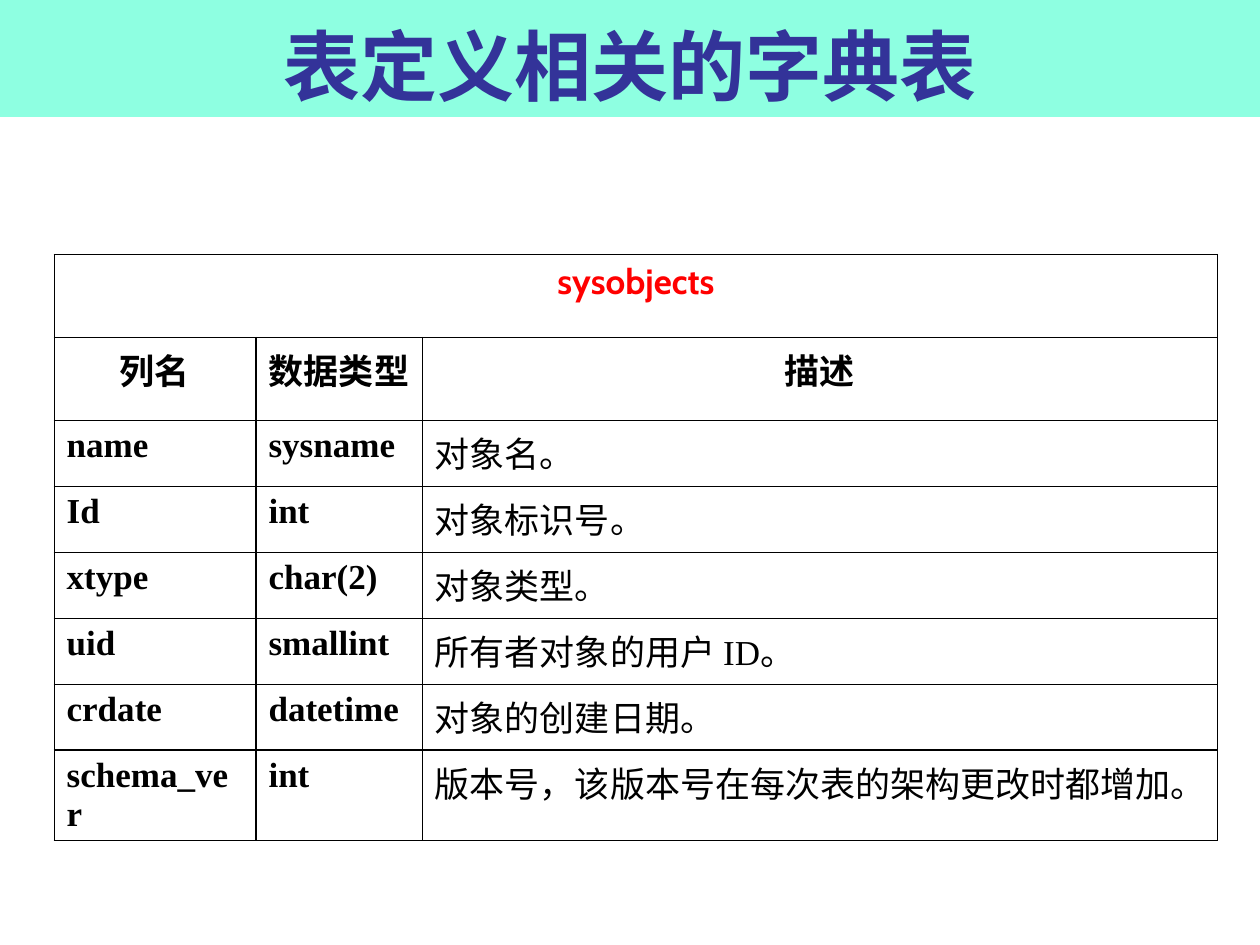
from lxml import etree
from pptx import Presentation
from pptx.dml.color import RGBColor
from pptx.enum.shapes import MSO_SHAPE
from pptx.enum.text import MSO_ANCHOR, PP_ALIGN
from pptx.oxml.ns import qn
from pptx.util import Cm, Pt

RECTANGLE = MSO_SHAPE.RECTANGLE
BOTTOM = MSO_ANCHOR.BOTTOM
LEFT, CENTER = PP_ALIGN.LEFT, PP_ALIGN.CENTER

HEADING_FONT = "Cabin"
BODY_FONT = "Times New Roman"
BLACK = "000000"
BORDER_WIDTH = Pt(0.75)

TABLE_NAME = "sysobjects"
HEADERS = ("列名", "数据类型", "描述")
COLUMN_ROWS = (
    ("name", "sysname", "对象名。"),
    ("Id", "int", "对象标识号。"),
    ("xtype", "char(2)", "对象类型。"),
    ("uid", "smallint", "所有者对象的用户 ID。"),
    ("crdate", "datetime", "对象的创建日期。"),
    ("schema_ver", "int", "版本号，该版本号在每次表的架构更改时都增加。"),
)
COLUMN_WIDTHS = (4.07, 3.35, 16.04)
HEADER_HEIGHT, ROW_HEIGHT = 1.67, 1.33


def color(hex_string):
    return RGBColor.from_string(hex_string)


def write_text(text_frame, text, size, font_name, hex_color, bold, alignment):
    paragraph = text_frame.paragraphs[0]
    paragraph.text = text
    paragraph.alignment = alignment
    font = paragraph.font
    font.name, font.size, font.bold = font_name, Pt(size), bold
    font.color.rgb = color(hex_color)


def add_title_band(slide, width, text):
    band = slide.shapes.add_shape(RECTANGLE, 0, 0, width, Cm(2.36))
    band.shadow.inherit = False
    band.fill.solid()
    band.fill.fore_color.rgb = color("8EFFE1")
    band.line.fill.background()
    band.text_frame.word_wrap = True
    band.text_frame.vertical_anchor = BOTTOM
    write_text(band.text_frame, text, 44, HEADING_FONT, "333399", True, CENTER)


def add_borders(cell):
    properties = cell._tc.get_or_add_tcPr()
    for position, side in enumerate(("a:lnL", "a:lnR", "a:lnT", "a:lnB")):
        line = etree.Element(qn(side), w=str(BORDER_WIDTH))
        fill = etree.SubElement(line, qn("a:solidFill"))
        etree.SubElement(fill, qn("a:srgbClr"), val=BLACK)
        properties.insert(position, line)


def add_dictionary_table(slide):
    heights = [HEADER_HEIGHT] * 2 + [ROW_HEIGHT] * len(COLUMN_ROWS)
    table = slide.shapes.add_table(
        len(heights), len(COLUMN_WIDTHS), Cm(1.09), Cm(5.13),
        Cm(sum(COLUMN_WIDTHS)), Cm(sum(heights)),
    ).table
    table.first_row = table.horz_banding = False
    for column, width in zip(table.columns, COLUMN_WIDTHS):
        column.width = Cm(width)
    for row, height in zip(table.rows, heights):
        row.height = Cm(height)
    for cell in table.iter_cells():
        cell.fill.background()
        add_borders(cell)

    name_cell = table.cell(0, 0)
    name_cell.merge(table.cell(0, len(HEADERS) - 1))
    write_text(name_cell.text_frame, TABLE_NAME, 20, HEADING_FONT, "FF0000", True, CENTER)
    for row_index, texts in enumerate((HEADERS, *COLUMN_ROWS), start=1):
        is_header = row_index == 1
        for column_index, text in enumerate(texts):
            bold = is_header or column_index < 2
            write_text(table.cell(row_index, column_index).text_frame, text, 20,
                       BODY_FONT, BLACK, bold, CENTER if is_header else LEFT)


def main():
    presentation = Presentation()
    presentation.slide_width, presentation.slide_height = Cm(25.4), Cm(19.05)
    slide = presentation.slides.add_slide(presentation.slide_layouts[6])
    add_title_band(slide, presentation.slide_width, "表定义相关的字典表")
    add_dictionary_table(slide)
    presentation.save("out.pptx")


if __name__ == "__main__":
    main()
